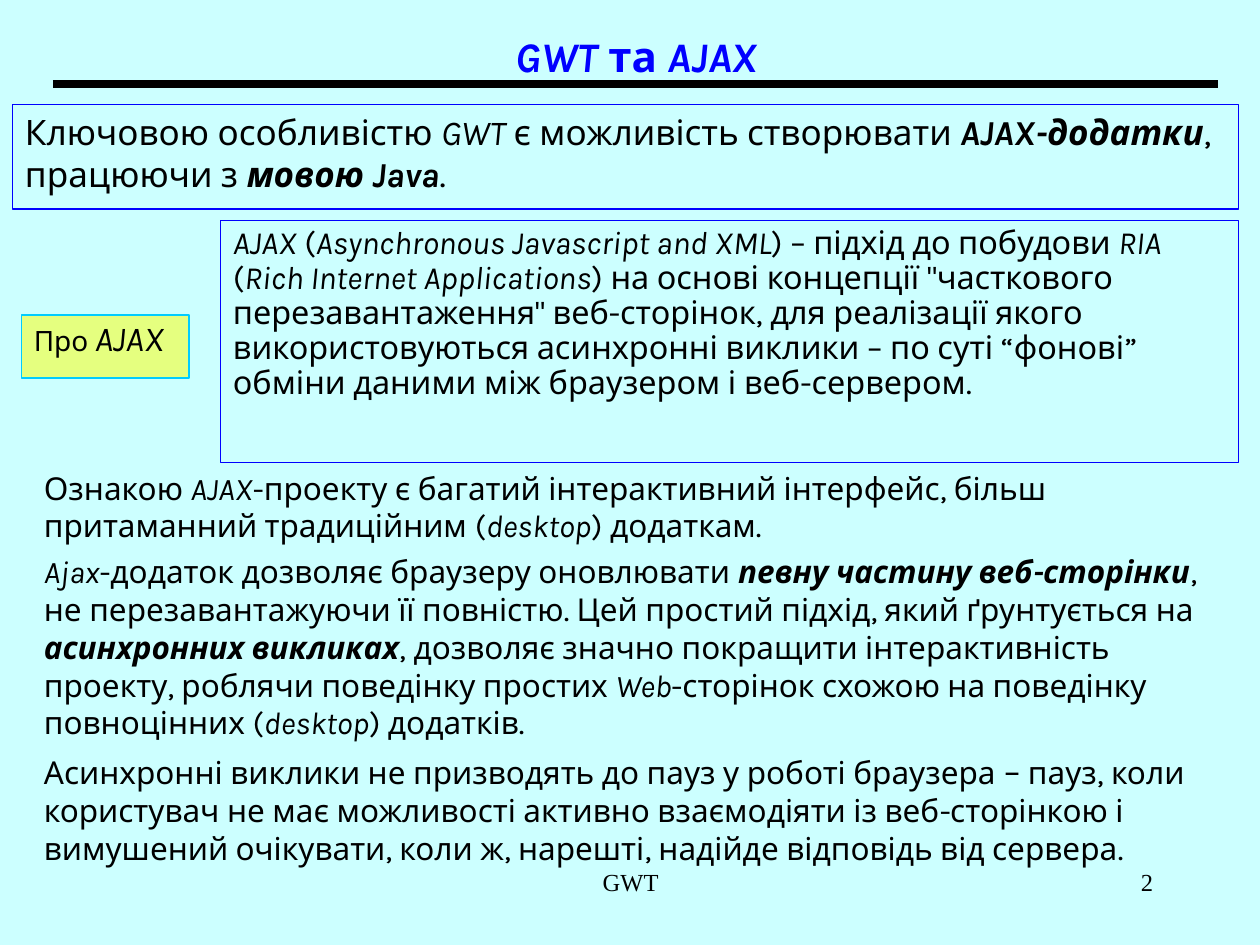
from lxml import etree
from pptx import Presentation
from pptx.dml.color import RGBColor
from pptx.enum.shapes import MSO_CONNECTOR as CONN, MSO_SHAPE as SHAPE
from pptx.enum.text import MSO_ANCHOR as ANCHOR, PP_ALIGN as ALIGN
from pptx.oxml.ns import qn
from pptx.util import Inches, Pt

COLORS = {"bg": "CCFFFF", "text": "000000", "blue": "0000FF",
          "label": "FFFF00", "label_line": "00CCFF"}
FONT, FOOTER_FONT = "Karla", "Times New Roman"


def rgb(name):
    return RGBColor.from_string(COLORS[name])


def add_run(p, text, style="", size=18, font=FONT, color="text"):
    """Add a run; style holds "b" for bold and "i" for italic."""
    r = p.add_run()
    r.text = text
    r.font.name, r.font.size = font, Pt(size)
    r.font.bold, r.font.italic = "b" in style, "i" in style
    r.font.color.rgb = rgb(color)


class SlideBuilder:
    def __init__(self, prs):
        self.s = prs.slides.add_slide(prs.slide_layouts[6])
        fill = self.s.background.fill
        fill.solid()
        fill.fore_color.rgb = rgb("bg")

    def fill_text(self, sp, paragraphs, align=ALIGN.LEFT, anchor=ANCHOR.TOP,
                  spacing=None, before=0, **fmt):
        """Runs are plain strings or (text, style[, size]) tuples."""
        tf = sp.text_frame
        tf.word_wrap, tf.vertical_anchor = True, anchor
        for n, runs in enumerate(paragraphs):
            p = tf.add_paragraph() if n else tf.paragraphs[0]
            p.alignment, p.line_spacing = align, spacing
            p.space_before = Pt(before if n else 0)
            for run in runs:
                text, style, *size = (run, "") if isinstance(run, str) else run
                own = {"size": size[0]} if size else {}
                add_run(p, text, style, **{**fmt, **own})

    def text(self, box, paragraphs, **fmt):
        sp = self.s.shapes.add_textbox(*map(Inches, box))
        self.fill_text(sp, paragraphs, **fmt)

    def frame(self, box, paragraphs, line="blue", width=0.75, fill=None, alpha=100, **fmt):
        sp = self.s.shapes.add_shape(SHAPE.RECTANGLE, *map(Inches, box))
        sp.shadow.inherit = False
        sp.line.color.rgb, sp.line.width = rgb(line), Pt(width)
        if fill:
            sp.fill.solid()
            sp.fill.fore_color.rgb = rgb(fill)
            clr = sp._element.spPr.find(qn("a:solidFill"))[0]
            etree.SubElement(clr, qn("a:alpha")).set("val", str(alpha * 1000))
        else:
            sp.fill.background()
        self.fill_text(sp, paragraphs, **fmt)

    def rule(self, x1, x2, y, width):
        c = self.s.shapes.add_connector(CONN.STRAIGHT, *map(Inches, (x1, y, x2, y)))
        c.line.color.rgb, c.line.width = rgb("text"), Pt(width)
        etree.SubElement(c._element.spPr, qn("a:effectLst"))


def main():
    prs = Presentation()
    prs.slide_width, prs.slide_height = Inches(10), Inches(7.5)
    slide = SlideBuilder(prs)

    # Title; the tall last space sets its line height
    slide.text((0.25, 0, 9.75, 0.67),
               [[("GWT", "bi"), (" та ", "b"), ("AJAX", "bi"), (" ", "", 44)]],
               size=24, color="blue", align=ALIGN.CENTER, anchor=ANCHOR.MIDDLE)
    slide.rule(0.42, 9.67, 0.67, 4.5)

    # Key feature
    slide.frame((0.1, 0.83, 9.73, 0.83), [[
        "Ключовою особливістю ", ("GWT", "i"), " є можливість створювати ",
        ("AJAX-додатки", "bi"), ", працюючи з ", ("мовою Java", "bi"), "."]], size=20)

    # AJAX definition
    slide.frame((1.75, 1.75, 8.08, 1.92), [[
        ("AJAX", "i"), " (", ("Asynchronous Javascript and XML", "i"),
        ") – підхід до побудови ", ("RIA", "i"), " (",
        ("Rich Internet Applications", "i"),
        ") на основі концепції \"часткового перезавантаження\" веб-сторінок, "
        "для реалізації якого використовуються асинхронні виклики – по суті "
        "“фонові” обміни даними між браузером і веб-сервером."]],
        size=18.5, spacing=0.9)

    # Explanation
    slide.text((0.25, 3.67, 9.58, 3.58), [
        ["Ознакою ", ("AJAX", "i"),
         "-проекту є багатий інтерактивний інтерфейс, більш притаманний традиційним (",
         ("desktop", "i"), ") додаткам."],
        [("Ajax", "i"), "-додаток дозволяє браузеру оновлювати ",
         ("певну частину веб-сторінки", "bi"),
         ", не перезавантажуючи її повністю. Цей простий підхід, який ґрунтується на ",
         ("асинхронних викликах", "bi"),
         ", дозволяє значно покращити інтерактивність проекту, роблячи поведінку простих ",
         ("Web", "i"), "-сторінок схожою на поведінку повноцінних (",
         ("desktop", "i"), ") додатків."],
        ["Асинхронні виклики не призводять до пауз у роботі браузера ", ("–", "", 20),
         " пауз, коли користувач не має можливості активно взаємодіяти із "
         "веб-сторінкою і вимушений очікувати, коли ж, нарешті, надійде "
         "відповідь від сервера."]], before=4.5)

    # Side label
    slide.frame((0.17, 2.5, 1.33, 0.5), [["Про ", ("AJAX", "i", 20)]], size=16,
                line="label_line", width=1, fill="label", alpha=50, spacing=0.9)

    # Footer and slide number
    footer = {"size": 14, "font": FOOTER_FONT}
    slide.text((3.42, 6.83, 3.17, 0.5), [["GWT"]], align=ALIGN.CENTER, **footer)
    slide.text((7.17, 6.83, 2.08, 0.5), [["2"]], align=ALIGN.RIGHT, **footer)

    prs.save("out.pptx")


if __name__ == "__main__":
    main()
